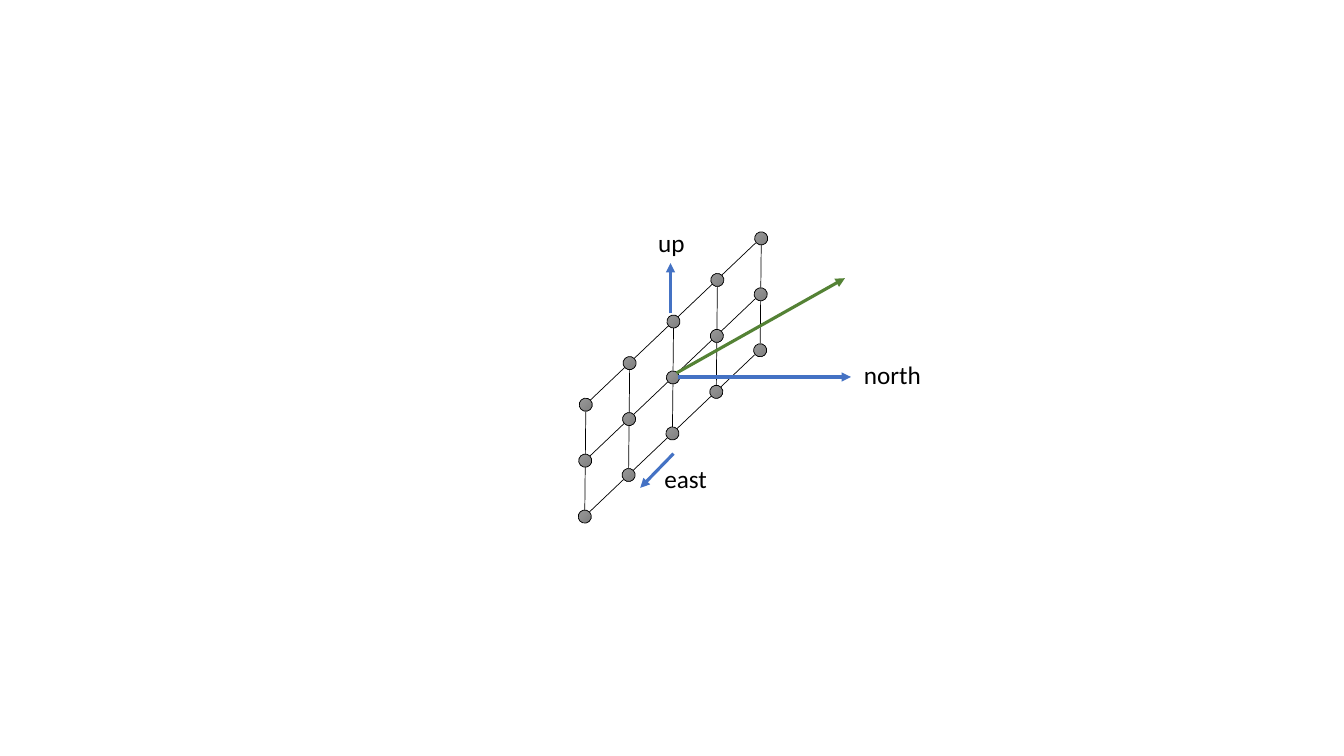
import pptx
import pptx.util
import pptx.dml.color
import pptx.enum.shapes
import pptx.enum.text
import pptx.oxml
import pptx.oxml.ns

Inches = pptx.util.Inches
BLACK, BLUE, GREEN = "000000", "4472C4", "548235"
COLUMNS, ROWS = 5, 3
DIAMETER = 0.13
RADIUS = DIAMETER / 2


def rgb(color):
    return pptx.dml.color.RGBColor.from_string(color)


def add_line(start, end, color, width, arrow=False):
    line = slide.shapes.add_connector(
        pptx.enum.shapes.MSO_CONNECTOR.STRAIGHT,
        *(Inches(value) for value in (*start, *end)))
    line.line.color.rgb = rgb(color)
    line.line.width = pptx.util.Pt(width)
    if arrow:
        outline = line.line._get_or_add_ln()
        head = pptx.oxml.ns.qn("a:tailEnd")
        outline.append(outline.makeelement(head, {"type": "triangle"}))
    properties = line._element.spPr
    properties.append(properties.makeelement(pptx.oxml.ns.qn("a:effectLst"), {}))


deck = pptx.Presentation()
deck.slide_width, deck.slide_height = Inches(13.33), Inches(7.5)
slide = deck.slides.add_slide(deck.slide_layouts[6])

# Node centres, row by row from the bottom
grid = [[(5.8 + 0.435 * column + 0.005 * row,
          5.125 - 0.4125 * column - 0.555 * row)
         for column in range(COLUMNS)] for row in range(ROWS)]

# Upright grid lines
for (bottom_x, bottom_y), (top_x, top_y) in zip(grid[0], grid[-1]):
    add_line((bottom_x, bottom_y - RADIUS), (top_x, top_y + RADIUS), BLACK, 0.5)

# Slanted grid lines, each with its nodes on top
for centres in grid:
    (left_x, left_y), (right_x, right_y) = centres[0], centres[-1]
    add_line((left_x + 0.045, left_y - 0.045),
             (right_x - 0.055, right_y + 0.045), BLACK, 0.5)
    for x, y in centres:
        node = slide.shapes.add_shape(
            pptx.enum.shapes.MSO_SHAPE.OVAL, Inches(x - RADIUS),
            Inches(y - RADIUS), Inches(DIAMETER), Inches(DIAMETER))
        node.rotation = 316.8
        node.shadow.inherit = False
        node.fill.gradient()
        node.fill.gradient_angle = 270
        for stop, color in zip(node.fill.gradient_stops, ("9D9D9D", "7C7C7C")):
            stop.color.rgb = rgb(color)
        node.line.color.rgb = rgb(BLACK)
        node.line.width = pptx.util.Pt(0.5)

# Direction arrows
for start, end, color in (
        ((6.72, 3.74), (8.44, 3.74), BLUE),
        ((6.65, 3.11), (6.65, 2.61), BLUE),
        ((6.71, 3.7), (8.38, 2.76), GREEN),
        ((6.68, 4.5), (6.35, 4.84), BLUE)):
    add_line(start, end, color, 2.25, arrow=True)

# Direction labels
for text, left, top, width in (
        ("north", 8.47, 3.52, 0.77),
        ("up", 6.43, 2.21, 0.47),
        ("east", 6.49, 4.55, 0.63)):
    box = slide.shapes.add_textbox(
        Inches(left), Inches(top), Inches(width), Inches(0.4))
    box.text_frame.word_wrap = False
    box.text_frame.auto_size = pptx.enum.text.MSO_AUTO_SIZE.SHAPE_TO_FIT_TEXT
    span = box.text_frame.paragraphs[0].add_run()
    span.text = text
    span.font.name = "Calibri"
    span.font.size = pptx.util.Pt(18)
    span.font.color.rgb = rgb(BLACK)

deck.save("out.pptx")
